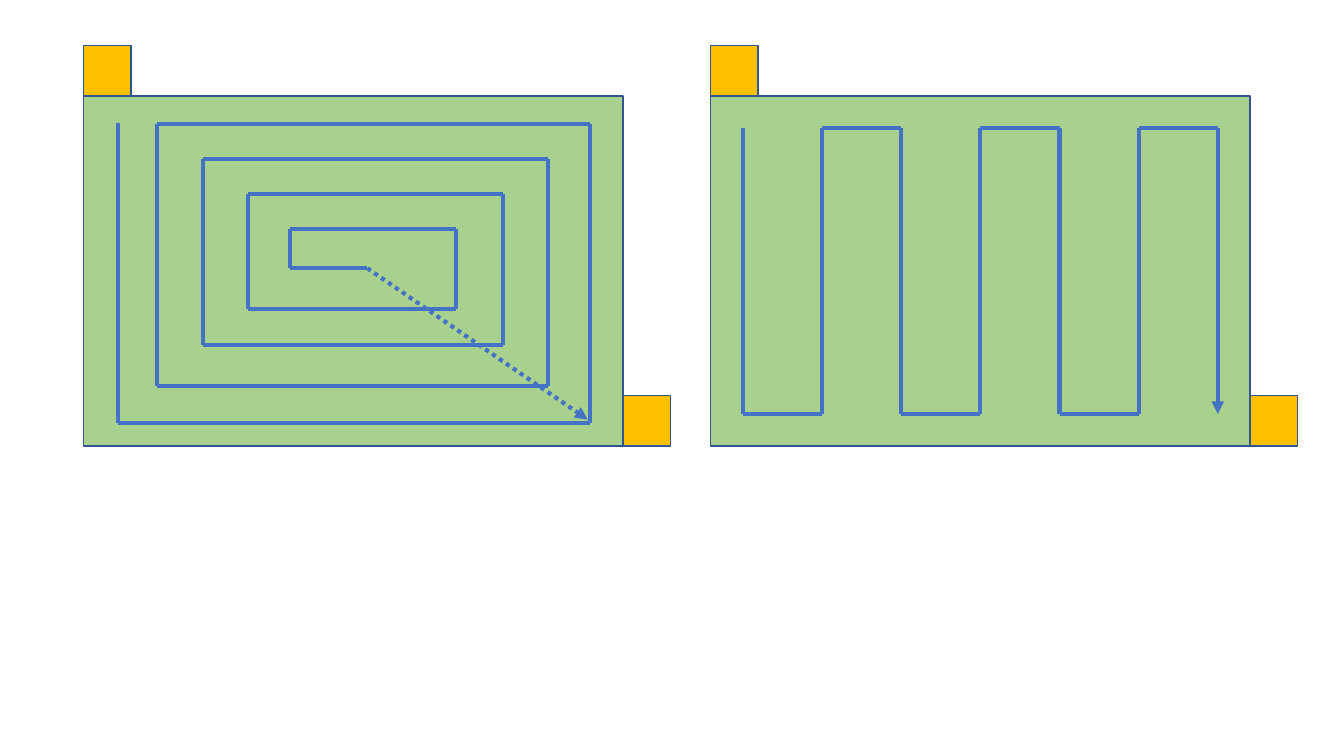
from itertools import pairwise

from pptx import Presentation
from pptx.dml.color import RGBColor
from pptx.enum.dml import MSO_LINE as DASH
from pptx.enum.shapes import MSO_CONNECTOR as LINK, MSO_SHAPE as SHAPE
from pptx.oxml.ns import qn
from pptx.util import Pt
from lxml.etree import SubElement as sub

GREEN = RGBColor(0xA9, 0xD1, 0x8E)
AMBER = RGBColor(0xFF, 0xC0, 0x00)
BLUE = RGBColor(0x44, 0x72, 0xC4)
NAVY = RGBColor(0x32, 0x54, 0x91)

deck = Presentation()
deck.slide_width, deck.slide_height = Pt(960), Pt(540)
slide = deck.slides.add_slide(deck.slide_layouts[6])


def add_box(group, x, y, w, h, color):
    box = group.shapes.add_shape(SHAPE.RECTANGLE, Pt(x), Pt(y), Pt(w), Pt(h))
    box.shadow.inherit = False
    box.fill.solid()
    box.fill.fore_color.rgb = color
    box.line.color.rgb = NAVY
    box.line.width = Pt(1)


def add_route(points, arrow=True, dash=None):
    """Join the points with straight lines; the last may end in an arrow."""
    for (x1, y1), (x2, y2) in pairwise(points):
        link = route.shapes.add_connector(
            LINK.STRAIGHT, Pt(x1), Pt(y1), Pt(x2), Pt(y2))
        link.line.color.rgb = BLUE
        link.line.width = Pt(3)
        if dash:
            link.line.dash_style = dash
        sub(link._element.spPr, qn("a:effectLst"))
    if arrow:
        sub(link.line._get_or_add_ln(), qn("a:tailEnd"), type="triangle")


# Two fields, each with a station at the start and at the end
TOP, WIDE, HIGH = 68.6, 385.3, 249.9
SIDE, RISE = 34, 36
for left in (507.6, 59.6):
    field = slide.shapes.add_group_shape()
    add_box(field, left, TOP, WIDE, HIGH, GREEN)
    add_box(field, left + WIDE, TOP + HIGH - RISE, SIDE, RISE, AMBER)
    add_box(field, left, TOP - RISE, SIDE, RISE, AMBER)

# Zigzag route: equal lanes, up and down in turn
HEAD, FOOT, LANE = 91.4, 295.7, 56.55
turns = (HEAD, FOOT, FOOT, HEAD)
route = slide.shapes.add_group_shape()
add_route([(530.6 + LANE * (k // 2), turns[k % 4]) for k in range(14)])

# Spiral route: x and y change in turn, from the edge to the middle
xs = (84.1, 421.3, 112.3, 391.6, 145.2, 359.3, 177, 325.6, 207.3, 262.4)
ys = (88, 302, 88.7, 275.9, 113.6, 246.7, 138.7, 220.6, 163.7, 191.6)
spiral = [(xs[k // 2], ys[(k + 1) // 2]) for k in range(19)]
route = slide.shapes.add_group_shape()
add_route(spiral, arrow=False)
add_route([spiral[-1], (419.8, 299.7)], dash=DASH.ROUND_DOT)

deck.save("out.pptx")
